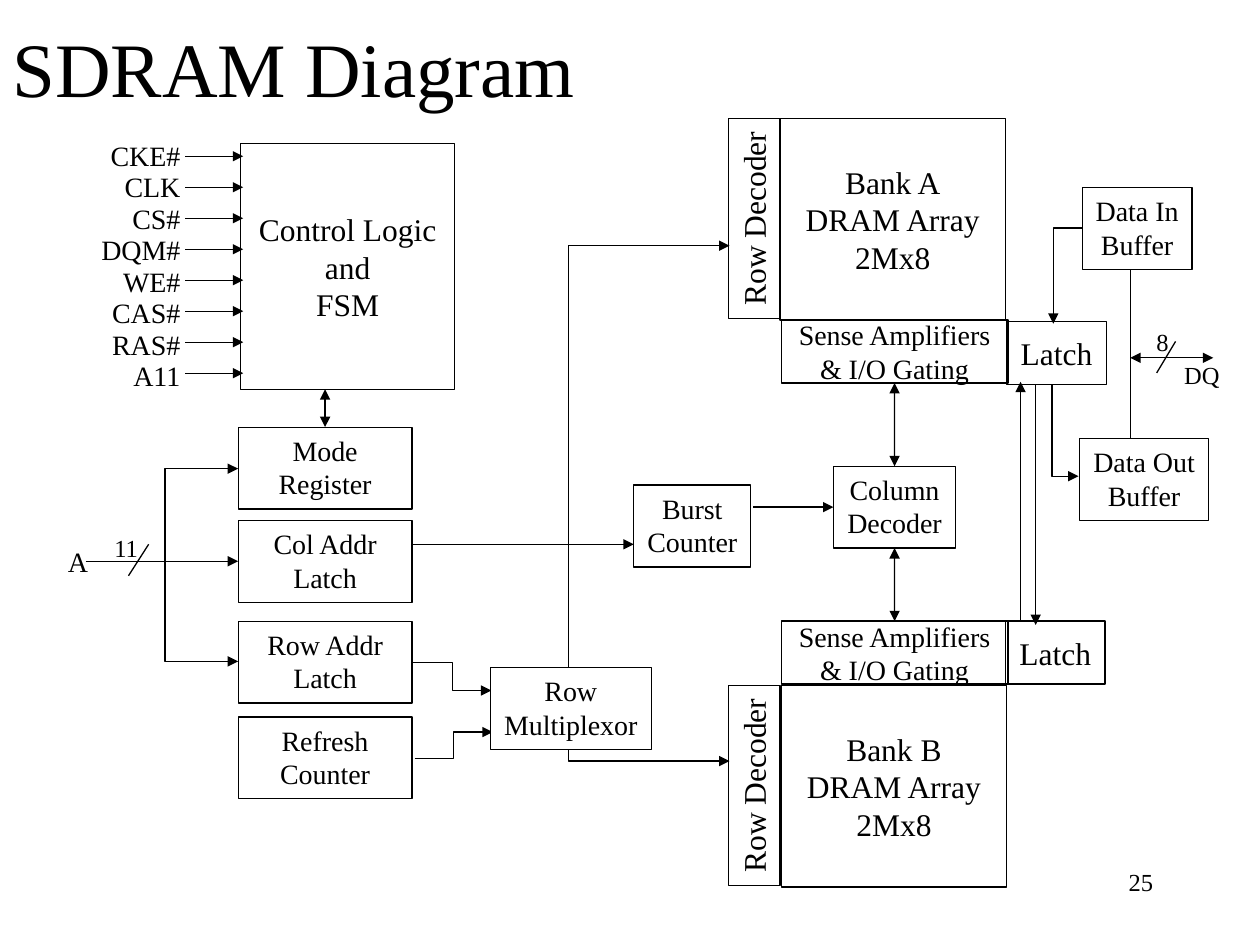
"""Build the SDRAM block diagram slide on a square grid of 100 columns by 75 rows."""
from lxml import etree
from pptx import Presentation
from pptx import util as u
from pptx.dml.color import RGBColor
from pptx.enum import shapes, text
from pptx.oxml import ns

BLACK = RGBColor(0, 0, 0)
WHITE = RGBColor(255, 255, 255)
FONT = "Times New Roman"
LEFT, CENTER, RIGHT = text.PP_ALIGN.LEFT, text.PP_ALIGN.CENTER, text.PP_ALIGN.RIGHT
TOP, MIDDLE = text.MSO_ANCHOR.TOP, text.MSO_ANCHOR.MIDDLE

deck = Presentation()
deck.slide_width, deck.slide_height = u.Inches(10), u.Inches(7.5)
CELL = deck.slide_width // 100
page = deck.slides.add_slide(deck.slide_layouts[6])


def write(box, words, size, align=LEFT, anchor=TOP):
    frame = box.text_frame
    frame.word_wrap = False
    frame.vertical_anchor = anchor
    frame.text = words
    for para in frame.paragraphs:
        para.alignment = align
        para.font.name = FONT
        para.font.size = u.Pt(size)
        para.font.color.rgb = BLACK


def outline(shape, ends=""):
    shape.line.color.rgb = BLACK
    shape.line.width = u.Pt(0.75)
    properties = shape.element.spPr
    for end in ends.split():
        etree.SubElement(properties.find(ns.qn("a:ln")), ns.qn(f"a:{end}End"), type="triangle")
    etree.SubElement(properties, ns.qn("a:effectLst"))


routes = [
    ([(57.9, 19.5), (45.1, 19.5), (45.1, 60.4), (57.9, 60.4)], "head tail"),
    ([(32.8, 52.6), (35.9, 52.6), (35.9, 54.8), (39, 54.8)], "tail"),
    ([(32.9, 60.2), (36, 60.2), (36, 58.1), (39.1, 58.1)], "tail"),
    ([(18.9, 37.2), (13.1, 37.2), (13.1, 52.5), (18.9, 52.5)], "head tail"),
    ([(85.9, 18.1), (83.6, 18.1), (83.6, 25.7)], "tail"),
    ([(83.5, 30.5), (83.5, 37.8), (85.6, 37.8)], "tail"),
]
for points, ends in routes:
    start, *rest = [(int(x * CELL), int(y * CELL)) for x, y in points]
    builder = page.shapes.build_freeform(*start)
    builder.add_line_segments(rest, close=False)
    route = builder.convert_to_shape()
    route.fill.background()
    outline(route, ends)

SENSE = "Sense Amplifiers\n& I/O Gating"
blocks = [
    ("mode", "Mode Register", 18.9, 33.9, 13.8, 6.5, 16, TOP),
    ("column latch", "Col Addr\nLatch", 18.9, 41.3, 13.8, 6.5, 16, TOP),
    ("row latch", "Row Addr\nLatch", 18.9, 49.3, 13.8, 6.5, 16, TOP),
    ("refresh", "Refresh\nCounter", 18.9, 56.9, 13.8, 6.5, 16, TOP),
    ("multiplexor", "Row\nMultiplexor", 38.9, 53, 12.8, 6.5, 16, TOP),
    ("burst", "Burst\nCounter", 50.3, 38.5, 9.3, 6.5, 16, TOP),
    ("column decoder", "Column\nDecoder", 66.15, 37, 9.7, 6.5, 16, TOP),
    ("data in", "Data In\nBuffer", 85.9, 14.9, 8.7, 6.5, 16, TOP),
    ("data out", "Data Out\nBuffer", 85.7, 34.8, 10.2, 6.5, 16, TOP),
    ("control", "Control Logic\nand\nFSM", 19.1, 11.4, 17, 19.5, 18, MIDDLE),
    ("row decoder A", "Row Decoder", 51.9, 15.3, 15.9, 4.1, 18, TOP),
    ("row decoder B", "Row Decoder", 51.9, 60.3, 15.9, 4.1, 18, TOP),
    ("bank A", "Bank A\nDRAM Array\n2Mx8", 61.9, 9.4, 17.9, 16, 18, MIDDLE),
    ("bank B", "Bank B\nDRAM Array\n2Mx8", 62, 54.4, 17.9, 16, 18, MIDDLE),
    ("sense A", SENSE, 62, 25.4, 18, 5, 16, MIDDLE),
    ("sense B", SENSE, 62, 49.3, 18, 5, 16, MIDDLE),
    ("latch A", "Latch", 79.9, 25.5, 7.9, 5, 18, MIDDLE),
    ("latch B", "Latch", 79.8, 49.3, 7.9, 5, 18, MIDDLE),
]
boxes = {}
for name, words, *place, size, anchor in blocks:
    box = page.shapes.add_shape(
        shapes.MSO_SHAPE.RECTANGLE, *[int(value * CELL) for value in place])
    box.fill.background()
    outline(box)
    write(box, words, size, CENTER, anchor)
    boxes[name] = box
boxes["mode"].text_frame.word_wrap = True
boxes["multiplexor"].fill.solid()
boxes["multiplexor"].fill.fore_color.rgb = WHITE
for bank in "AB":
    boxes[f"row decoder {bank}"].rotation = 270

signals = ["CKE#", "CLK", "CS#", "DQM#", "WE#", "CAS#", "RAS#", "A11"]
labels = [
    ("SDRAM Diagram", 0, 0, 85, 10.6, 44, LEFT, MIDDLE),
    ("25", 71.7, 68.3, 20.8, 5, 14, RIGHT, TOP),
    ("11", 8.1, 41.8, 4, 3.3, 14, LEFT, TOP),
    ("A", 4.4, 42.7, 3.6, 3.7, 16, LEFT, TOP),
    ("8", 90.8, 25.5, 3, 3.3, 14, LEFT, TOP),
    ("DQ", 93, 28.1, 4.8, 3.3, 14, LEFT, TOP),
]
wires = [
    (71, 37, 71, 30.4, "head tail", ("column decoder", 0), ("sense A", 2)),
    (71, 43.5, 71, 49.3, "head tail", ("column decoder", 2), ("sense B", 0)),
    (59.8, 40.25, 66.15, 40.25, "tail", None, ("column decoder", 1)),
    (25.8, 33.9, 25.8, 30.9, "head tail", ("mode", 0), None),
    (6.8, 44.55, 18.9, 44.55, "tail", None, ("column latch", 1)),
    (32.8, 43.2, 50.3, 43.2, "tail", None, None),
    (11.8, 43.2, 10.2, 45.7, "", None, None),
    (81, 49.3, 81, 30.3, "tail", None, None),
    (82.2, 30.5, 82.2, 49.6, "tail", None, None),
    (89.7, 21.4, 89.7, 34.8, "", None, None),
    (89.7, 28.4, 96.3, 28.4, "head tail", None, None),
    (93.3, 27.1, 91.8, 29.6, "", None, None),
]
for row, signal in enumerate(signals):
    labels.append((signal, 6.9, 10.5 + 2.5 * row, 8.4, 3.7, 16, RIGHT, TOP))
    height = 12.4 + 2.46 * row
    wires.append((14.7, height, 19.3, height, "tail", None, None))

for words, *place, size, align, anchor in labels:
    box = page.shapes.add_textbox(*[int(value * CELL) for value in place])
    write(box, words, size, align, anchor)
    box.text_frame.word_wrap = True

for *place, ends, source, target in wires:
    wire = page.shapes.add_connector(
        shapes.MSO_CONNECTOR.STRAIGHT, *[int(value * CELL) for value in place])
    outline(wire, ends)
    if source:
        wire.begin_connect(boxes[source[0]], source[1])
    if target:
        wire.end_connect(boxes[target[0]], target[1])

deck.save("out.pptx")
